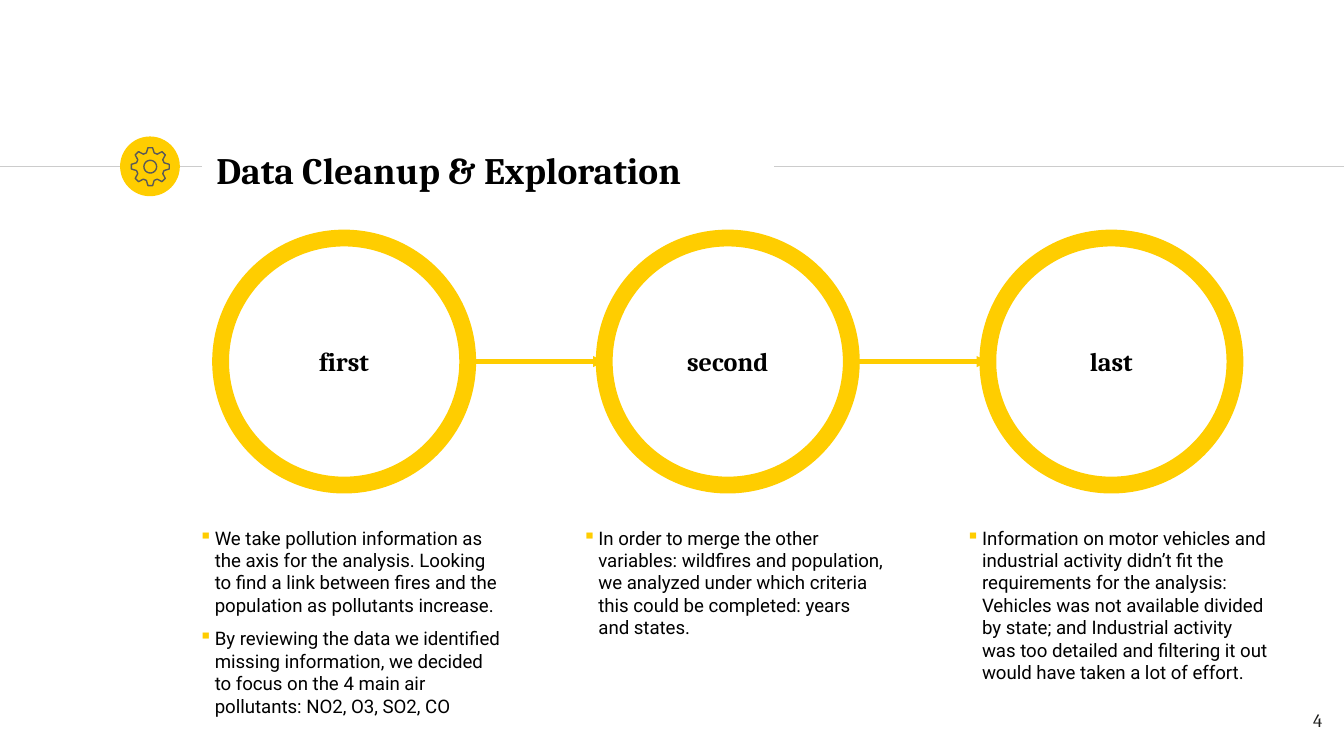
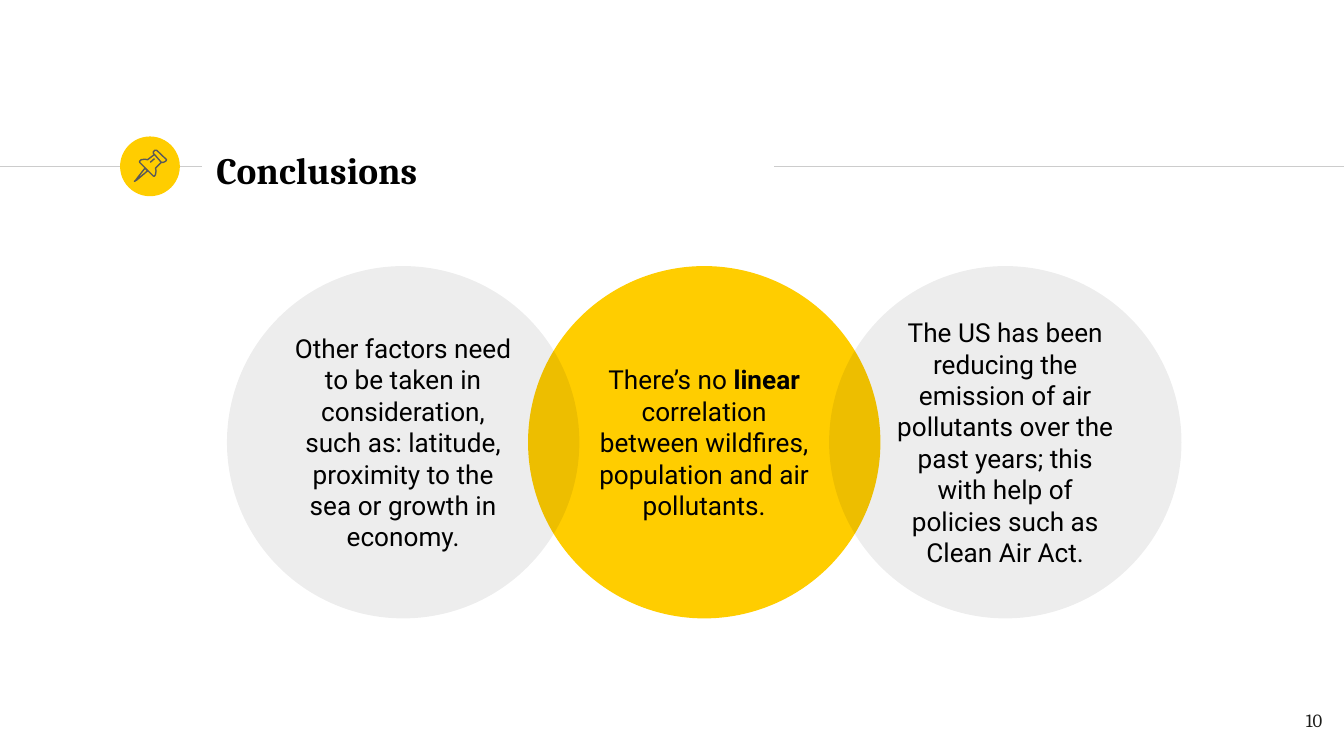
"""Build two slides: the data cleanup steps and the conclusions."""
from math import cos, radians, sin

from lxml import etree
from pptx import Presentation
from pptx import util as u
from pptx.dml.color import RGBColor
from pptx.enum import shapes, text
from pptx.oxml.ns import qn

Cm, Pt = u.Cm, u.Pt
YELLOW = RGBColor(0xFF, 0xCD, 0x00)
BLACK = RGBColor(0x00, 0x00, 0x00)
RULE_GRAY = RGBColor(0xCC, 0xCC, 0xCC)
ICON_GRAY = RGBColor(0x59, 0x59, 0x59)
NUMBER_GRAY = RGBColor(0x1D, 0x1D, 0x1B)
SERIF, SANS = "Cambria", "Roboto"
LEFT, CENTER, RIGHT = text.PP_ALIGN.LEFT, text.PP_ALIGN.CENTER, text.PP_ALIGN.RIGHT
TOP, MIDDLE = text.MSO_ANCHOR.TOP, text.MSO_ANCHOR.MIDDLE
OVAL = shapes.MSO_SHAPE.OVAL


def write(shape, paragraphs, size, font, align, anchor, bold=False, color=BLACK):
    """Fill a shape with paragraphs; words between asterisks become bold."""
    frame = shape.text_frame
    frame.word_wrap = True
    frame.vertical_anchor = anchor
    frame.margin_left = frame.margin_right = Cm(0.25)
    frame.margin_top = frame.margin_bottom = Cm(0.25)
    for number, wording in enumerate(paragraphs):
        paragraph = frame.add_paragraph() if number else frame.paragraphs[0]
        paragraph.alignment = align
        for position, piece in enumerate(wording.split("*")):
            run = paragraph.add_run()
            run.text = piece
            run.font.name, run.font.size = font, Pt(size)
            run.font.bold = bold or position % 2 == 1
            run.font.color.rgb = color


def rule(slide, start, end, y, color, width):
    """Draw a horizontal line without a shadow."""
    line = slide.shapes.add_connector(
        shapes.MSO_CONNECTOR.STRAIGHT, Cm(start), Cm(y), Cm(end), Cm(y))
    line.line.color.rgb, line.line.width = color, Pt(width)
    etree.SubElement(line._element.spPr, qn("a:effectLst"))
    return line


deck = Presentation()
deck.slide_width, deck.slide_height = Cm(25.4), Cm(14.29)

pages = []
for heading, page_number in (("Data Cleanup & Exploration", "4"), ("Conclusions", "10")):
    slide = deck.slides.add_slide(deck.slide_layouts[6])
    rule(slide, 0, 3.82, 3.15, RULE_GRAY, 0.75)
    badge = slide.shapes.add_shape(OVAL, Cm(2.27), Cm(2.58), Cm(1.13), Cm(1.13))
    badge.shadow.inherit = False
    badge.fill.solid()
    badge.fill.fore_color.rgb = YELLOW
    badge.line.fill.background()
    rule(slide, 14.63, 25.4, 3.15, RULE_GRAY, 0.75)
    title = slide.shapes.add_textbox(Cm(3.84), Cm(2.59), Cm(10.77), Cm(1.22))
    write(title, [heading], 20, SERIF, LEFT, MIDDLE, bold=True)
    number_box = slide.shapes.add_textbox(Cm(23.72), Cm(13.18), Cm(1.52), Cm(1.09))
    write(number_box, [page_number], 10, SERIF, RIGHT, TOP, color=NUMBER_GRAY)
    pages.append(slide)
cleanup, conclusions = pages

steps = [
    ("first", [
        "We take pollution information as the axis for the analysis. Looking to find "
        "a link between fires and the population as pollutants increase.",
        "By reviewing the data we identified missing information, we decided to focus "
        "on the 4 main air pollutants: NO2, O3, SO2, CO"]),
    ("second", [
        "In order to merge the other variables: wildfires and population, we analyzed "
        "under which criteria this could be completed: years and states."]),
    ("last", [
        "Information on motor vehicles and industrial activity didn’t fit the "
        "requirements for the analysis: Vehicles was not available divided by state; "
        "and Industrial activity was too detailed and filtering it out would have "
        "taken a lot of effort."]),
]
RING_SIZE, RING_TOP, STEP_PITCH = 4.67, 4.5, 7.25
for index, (step, details) in enumerate(steps):
    ring_left = 4.17 + index * STEP_PITCH
    ring = cleanup.shapes.add_shape(
        OVAL, Cm(ring_left), Cm(RING_TOP), Cm(RING_SIZE), Cm(RING_SIZE))
    ring.shadow.inherit = False
    ring.fill.background()
    ring.line.color.rgb, ring.line.width = YELLOW, Pt(9)
    write(ring, [step], 14, SERIF, CENTER, MIDDLE, bold=True)

    if index:
        arrow = rule(cleanup, ring_left - STEP_PITCH + RING_SIZE, ring_left,
                     RING_TOP + RING_SIZE / 2, YELLOW, 3)
        etree.SubElement(arrow.line._get_or_add_ln(), qn("a:tailEnd"),
                         type="triangle", w="sm", len="sm")

    notes = cleanup.shapes.add_textbox(
        Cm(ring_left - 0.87), Cm(9.7), Cm(6.4), Cm(4.45))
    write(notes, details, 10, SANS, LEFT, TOP)
    for paragraph in notes.text_frame.paragraphs:
        paragraph.space_before = Pt(6)
        properties = paragraph._p.get_or_add_pPr()
        properties.set("marL", str(Cm(0.51)))
        properties.set("indent", str(-Cm(0.3)))
        bullet_color = etree.SubElement(properties, qn("a:buClr"))
        etree.SubElement(bullet_color, qn("a:srgbClr"), val=str(YELLOW))
        etree.SubElement(properties, qn("a:buChar"), char="▪")

findings = [
    (1, YELLOW, "There’s no *linear* correlation between wildfires, population and air "
                "pollutants."),
    (0, BLACK, "Other factors need to be taken in consideration, such as: latitude, "
               "proximity to the sea or growth in economy."),
    (2, BLACK, "The US has been reducing the emission of air pollutants over the past "
               "years; this with help of policies such as Clean Air Act."),
]
for column, color, finding in findings:
    disc = conclusions.shapes.add_shape(
        OVAL, Cm(4.29 + column * 5.69), Cm(5.03), Cm(6.66), Cm(6.66))
    disc.shadow.inherit = False
    disc.fill.solid()
    disc.fill.fore_color.rgb = color
    if color == BLACK:
        tint = disc._element.spPr.find(qn("a:solidFill"))[0]
        etree.SubElement(tint, qn("a:alpha"), val="7000")
    disc.line.fill.background()
    write(disc, [finding], 14, SANS, CENTER, MIDDLE)

gear_polar = [(tooth + offset, radius) for tooth in range(0, 360, 45)
              for offset, radius in ((-16, 0.27), (-7, 0.36), (7, 0.36), (16, 0.27))]
hole_polar = [(angle, 0.12) for angle in range(0, 360, 15)]
gear = [[(2.84 + radius * cos(radians(angle)), 3.15 + radius * sin(radians(angle)))
         for angle, radius in ring_polar] for ring_polar in (gear_polar, hole_polar)]
pin_needle = [(2.74, 3.18), (2.57, 3.4), (2.54, 3.43), (2.59, 3.4), (2.79, 3.23)]
pin_head = [(2.92, 2.92), (3.05, 3.07), (3.09, 3.07), (3.13, 3.05), (3.15, 3.02),
            (2.96, 2.84), (2.93, 2.84), (2.9, 2.87), (2.9, 2.9)]
pin_body = [(2.92, 2.92), (2.79, 3.02), (2.74, 3.01), (2.67, 3.02), (2.64, 3.05),
            (2.64, 3.07), (2.9, 3.33), (2.92, 3.33), (2.94, 3.3), (2.95, 3.23),
            (2.94, 3.18), (3.05, 3.07)]
pin_shine = [(2.84, 3.07), (2.92, 3.0)]
icon_parts = [(cleanup, gear, True), (conclusions, [pin_needle], True),
              (conclusions, [pin_head], True), (conclusions, [pin_body], False),
              (conclusions, [pin_shine], False)]
for slide, contours, closed in icon_parts:
    outline = None
    for contour in contours:
        points = [(Cm(x), Cm(y)) for x, y in contour]
        if outline is None:
            outline = slide.shapes.build_freeform(*points[0])
        else:
            outline.move_to(*points[0])
        outline.add_line_segments(points[1:], close=closed)
    icon = outline.convert_to_shape()
    icon.shadow.inherit = False
    icon.fill.background()
    icon.line.color.rgb, icon.line.width = ICON_GRAY, Pt(0.75)

deck.save("out.pptx")
